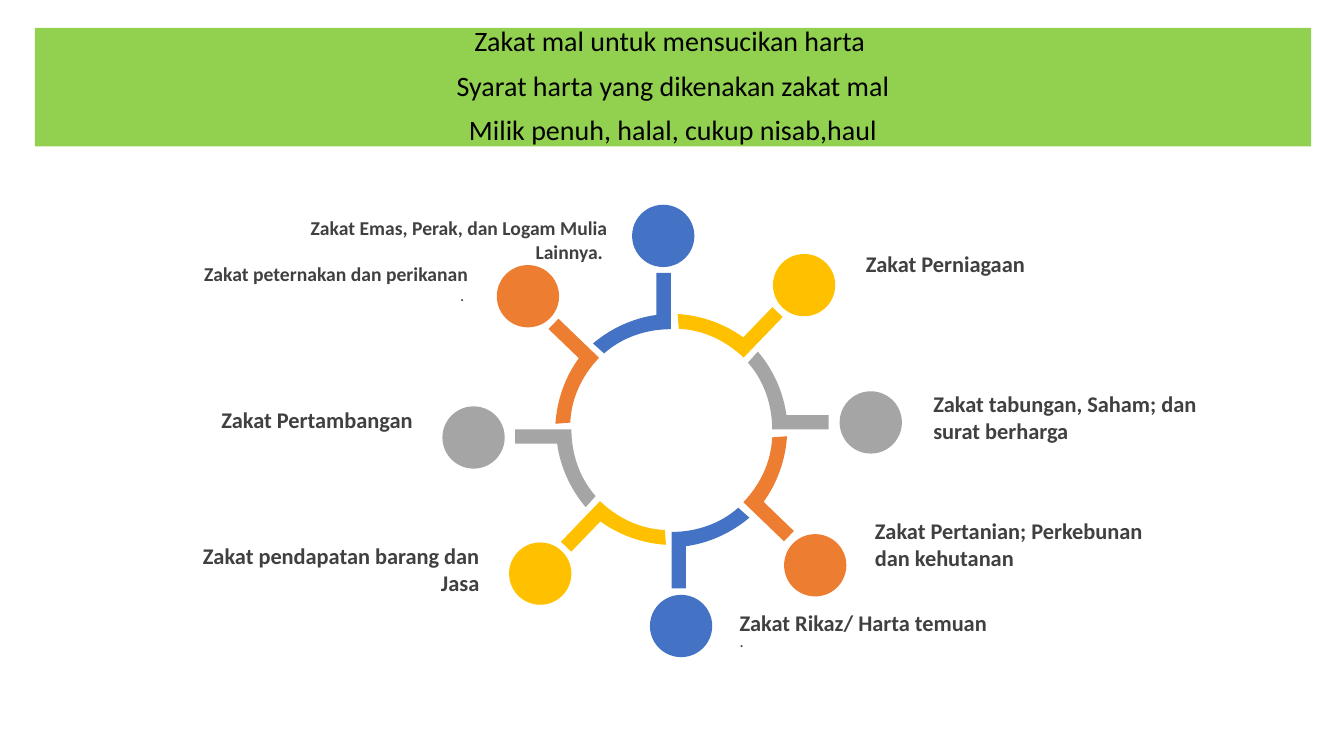
from itertools import cycle
from lxml import etree
from pptx import Presentation
from pptx import util as u
from pptx.dml.color import RGBColor
from pptx.enum import shapes, text
from pptx.oxml.ns import qn

GREEN = RGBColor(0x92, 0xD0, 0x50)
BLUE = RGBColor(0x44, 0x72, 0xC4)
ORANGE = RGBColor(0xED, 0x7D, 0x31)
GRAY = RGBColor(0xA5, 0xA5, 0xA5)
GOLD = RGBColor(0xFF, 0xC0, 0x00)
DARK = RGBColor(0x40, 0x40, 0x40)
BLACK = RGBColor(0, 0, 0)

LEFT, MID, RIGHT = text.PP_ALIGN.LEFT, text.PP_ALIGN.CENTER, text.PP_ALIGN.RIGHT
DISC = 1.57
TAIL = [(2.03, 1.6), (2.03, 1.96), (0.97, 1.96), (0.66, 1.96), (0.61, 1.96)]
INNER = [(0.61, 1.35), (0.41, 0.74), (0, 0.28)]
EDGE = [(0.25, 0)]
OUTER = [(0.64, 0.46), (0.89, 1.02), (0.97, 1.6)]

HEAD = [
    "Zakat mal untuk mensucikan harta ",
    "Syarat harta yang dikenakan zakat mal",
    "Milik penuh, halal, cukup nisab,haul",
]
ARMS = [
    (18.85, 8.86), (18.69, 11.25), (16.89, 12.83), (14.53, 12.62),
    (12.98, 10.82), (13.11, 8.46), (14.91, 6.91), (17.3, 7.06),
]
DISCS = [
    (21.16, 9.86), (19.76, 13.46), (16.38, 14.99), (12.83, 13.67),
    (11.15, 10.24), (12.52, 6.68), (15.93, 5.16), (19.48, 6.4),
]
LABELS = [
    ("Zakat Rikaz/ Harta temuan", 18.39, 15.22, 0.94, LEFT, 16),
    ("Zakat Perniagaan", 21.57, 6.17, 0.94, LEFT, 16),
    ("Zakat tabungan, Saham; dan surat berharga", 23.27, 9.7, 1.63, LEFT, 16),
    ("Zakat Pertanian; Perkebunan dan kehutanan", 21.8, 12.9, 1.63, LEFT, 16),
    ("Zakat Emas, Perak, dan Logam Mulia Lainnya. ", 7.28, 5.32, 1.45, RIGHT, 14),
    ("Zakat peternakan dan perikanan", 3.77, 6.48, 0.86, RIGHT, 14),
    ("Zakat Pertambangan", 2.37, 10.11, 0.94, RIGHT, 16),
    ("Zakat pendapatan barang dan Jasa", 4.05, 13.54, 1.63, RIGHT, 16),
]
DOTS = [(".", 18.39, 15.77, LEFT), (". ", 3.77, 7.04, RIGHT)]


def write(para, words, size=16, color=DARK, bold=False, align=LEFT):
    para.alignment = align
    run = para.add_run()
    run.text = words
    font = run.font
    font.name = "Calibri"
    font.size = u.Pt(size)
    font.bold = bold
    font.color.rgb = color


def curve(lines):
    bend = etree.Element(qn("a:cubicBezTo"))
    lines[0].addprevious(bend)
    for line in lines:
        bend.append(line[0])
        line.getparent().remove(line)


class Deck:
    def __init__(self):
        self.show = Presentation()
        self.show.slide_width = u.Cm(33.87)
        self.show.slide_height = u.Cm(19.05)
        self.slide = self.show.slides.add_slide(self.show.slide_layouts[1])
        self.items = self.slide.shapes

    def paint(self, shape, color):
        shape.shadow.inherit = False
        shape.fill.solid()
        shape.fill.fore_color.rgb = color
        shape.line.fill.background()

    def banner(self, lines):
        title = self.items.title
        title.element.getparent().remove(title.element)
        body = self.slide.placeholders[1]
        body.left, body.top = u.Cm(0.88), u.Cm(0.7)
        body.width, body.height = u.Cm(32.16), u.Cm(2.99)
        body.fill.solid()
        body.fill.fore_color.rgb = GREEN
        frame = body.text_frame
        frame.auto_size = text.MSO_AUTO_SIZE.NONE
        frame.vertical_anchor = text.MSO_ANCHOR.MIDDLE
        for i, line in enumerate(lines):
            para = frame.add_paragraph() if i else frame.paragraphs[0]
            write(para, line, size=20, color=BLACK, align=MID)
            para.line_spacing = 0.9
            para.space_before = u.Pt(10)
            props = para._p.get_or_add_pPr()
            props.set("marL", "0")
            props.set("indent", "0")
            etree.SubElement(props, qn("a:buNone"))

    def arm(self, x, y, deg, color):
        spots = [(u.Cm(x + a), u.Cm(y + b)) for a, b in TAIL + INNER + EDGE + OUTER]
        pen = self.items.build_freeform(*spots[0])
        pen.add_line_segments(spots[1:], close=True)
        shape = pen.convert_to_shape()
        lines = list(shape.element.iter(qn("a:lnTo")))
        curve(lines[4:7])
        curve(lines[8:11])
        shape.rotation = deg
        self.paint(shape, color)

    def disc(self, x, y, color):
        oval = shapes.MSO_SHAPE.OVAL
        self.paint(self.items.add_shape(oval, u.Cm(x), u.Cm(y), u.Cm(DISC), u.Cm(DISC)), color)

    def label(self, words, x, y, high, align, **style):
        wide = 8.28 if align == RIGHT else 8.23
        box = self.items.add_textbox(u.Cm(x), u.Cm(y), u.Cm(wide), u.Cm(high))
        box.text_frame.word_wrap = True
        box.text_frame.auto_size = text.MSO_AUTO_SIZE.SHAPE_TO_FIT_TEXT
        write(box.text_frame.paragraphs[0], words, align=align, **style)


def main():
    deck = Deck()
    deck.banner(HEAD)
    hues = [GRAY, ORANGE, BLUE, GOLD]
    for i, ((x, y), hue) in enumerate(zip(ARMS, cycle(hues))):
        deck.arm(x, y, 90 * (i // 2) + 43.9 * (i % 2), hue)
    for (x, y), hue in zip(DISCS, cycle(hues)):
        deck.disc(x, y, hue)
    for words, x, y, align in DOTS:
        deck.label(words, x, y, 0.76, align, size=12)
    for words, x, y, high, align, size in LABELS:
        deck.label(words, x, y, high, align, size=size, bold=True)
    deck.show.save("out.pptx")


if __name__ == "__main__":
    main()
